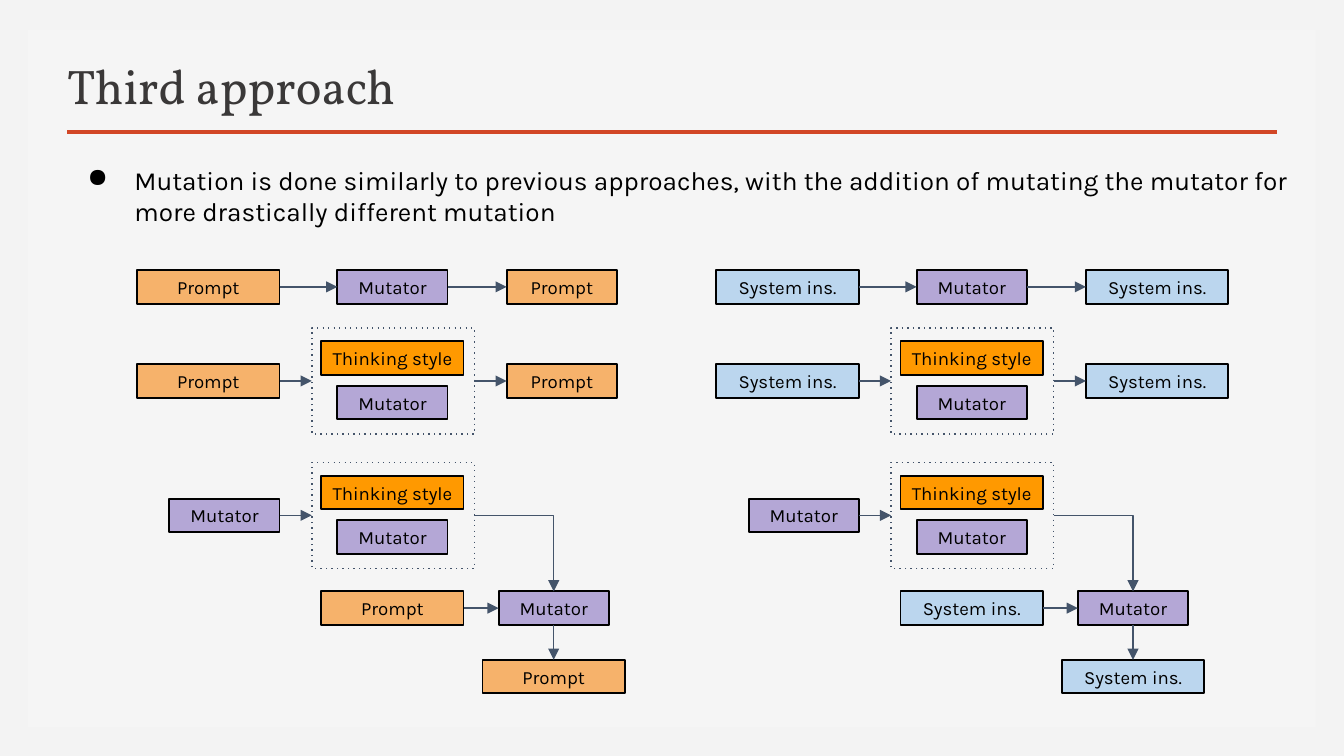
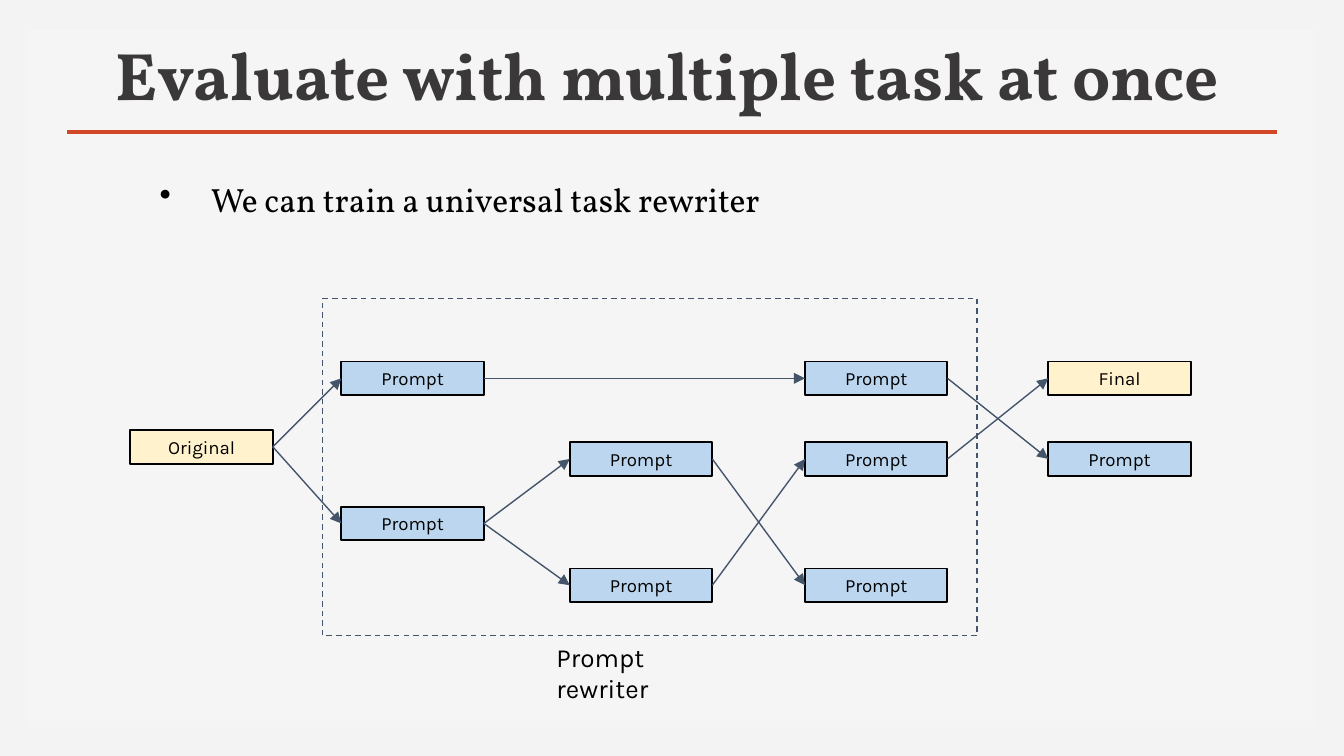
from lxml.etree import SubElement as Sub
from pptx import Presentation as Show
from pptx.dml.color import RGBColor as Rgb
from pptx.enum.shapes import MSO_CONNECTOR as Wire, MSO_SHAPE as Form
from pptx.enum.text import MSO_ANCHOR as Anchor, MSO_AUTO_SIZE as Fit, PP_ALIGN as Align
from pptx.oxml.ns import qn
from pptx.util import Pt

PX = 9144
WIDE = 1000
INK = {
    "back": "F3F3F3", "panel": "F5F5F5", "rule": "D24726", "title": "3A3838",
    "black": "000000", "wire": "44546A", "peach": "F6B26B", "mauve": "B4A7D6",
    "orange": "FF9900", "blue": "BBD6EE", "cream": "FFF2CC",
}
SIDES = {"right": (3, 1), "down": (2, 0), "bend": (3, 0)}


def tint(name):
    return Rgb.from_string(INK[name])


def write(frame, words, size=10, font="Karla", color="black", bold=False,
          align=Align.LEFT, anchor=Anchor.TOP, pad=(7, 4), fit=Fit.NONE,
          mark=None, hang=(0, 0), level=0):
    frame.word_wrap = True
    frame.auto_size = fit
    frame.vertical_anchor = anchor
    frame.margin_left = frame.margin_right = pad[0] * PX
    frame.margin_top = frame.margin_bottom = pad[1] * PX
    para = frame.paragraphs[0]
    para.alignment = align
    para.level = level
    if mark:
        props = para._p.get_or_add_pPr()
        props.set("marL", str(hang[0] * PX))
        props.set("indent", str(hang[1] * PX))
        Sub(Sub(props, qn("a:buClr")), qn("a:srgbClr"), val=INK[color])
        Sub(props, qn("a:buChar"), char=mark)
    run = para.add_run()
    run.text = words
    run.font.size = Pt(size)
    run.font.name = font
    run.font.bold = bold
    run.font.color.rgb = tint(color)


class Deck:
    def __init__(self):
        self.show = Show()
        self.show.slide_width = WIDE * PX
        self.show.slide_height = WIDE * PX * 9 // 16
        fill = self.show.slide_master.background.fill
        fill.solid()
        fill.fore_color.rgb = tint("back")
        self.plan = self.show.slide_layouts[5]
        self.slide = None
        self.dress = False

    def page(self, words, **style):
        self.slide = self.show.slides.add_slide(self.plan)
        if not self.dress:
            self.frame()
        head = self.slide.shapes.title
        head.left, head.top, head.width, head.height = (n * PX for n in (43, 37, 907, 52))
        write(head.text_frame, words, font="Vollkorn", color="title",
              anchor=Anchor.BOTTOM, **style)

    def frame(self):
        for item in list(self.plan.placeholders):
            if item.placeholder_format.idx:
                item.element.getparent().remove(item.element)
        panel = self.rect(21, 22, 958, 519, fill="panel")
        rule = self.line(50, 98, 950, 98, "rule", 2)
        tree = self.plan.shapes.element
        tree.insert(2, panel.element)
        tree.insert(3, rule.element)
        self.dress = True

    def rect(self, x, y, w, h, fill=None, line=None, weight=1, dash=None):
        shape = self.slide.shapes.add_shape(Form.RECTANGLE, x * PX, y * PX, w * PX, h * PX)
        shape.shadow.inherit = False
        if fill:
            shape.fill.solid()
            shape.fill.fore_color.rgb = tint(fill)
        else:
            shape.fill.background()
        if line:
            shape.line.color.rgb = tint(line)
            shape.line.width = Pt(weight)
        else:
            shape.line.fill.background()
        if dash:
            Sub(shape.element.spPr.find(qn("a:ln")), qn("a:prstDash"), val=dash)
        return shape

    def box(self, words, fill, x, y, w=106):
        shape = self.rect(x, y, w, 25, fill, "black")
        write(shape.text_frame, words, align=Align.CENTER, anchor=Anchor.MIDDLE)
        return shape

    def group(self, x, y, w, h, dash):
        return self.rect(x, y, w, h, line="wire", weight=0.75, dash=dash)

    def note(self, words, x, y, w, h, **style):
        area = self.slide.shapes.add_textbox(x * PX, y * PX, w * PX, h * PX)
        write(area.text_frame, words, fit=Fit.SHAPE_TO_FIT_TEXT, **style)

    def line(self, x, y, right, low, color, weight, kind=Wire.STRAIGHT):
        wire = self.slide.shapes.add_connector(kind, x * PX, y * PX, right * PX, low * PX)
        wire.line.color.rgb = tint(color)
        wire.line.width = Pt(weight)
        Sub(wire.element.spPr, qn("a:effectLst"))
        return wire

    def link(self, start, end, way="right"):
        kind = Wire.ELBOW if way == "bend" else Wire.STRAIGHT
        wire = self.line(0, 0, 0, 0, "wire", 0.75, kind)
        out, into = SIDES[way]
        wire.begin_connect(start, out)
        wire.end_connect(end, into)
        props = wire.element.spPr
        if way == "bend":
            props.find(qn("a:prstGeom")).set("prst", "bentConnector2")
        Sub(props.find(qn("a:ln")), qn("a:tailEnd"), type="triangle")

    def chain(self, *items):
        for start, end in zip(items, items[1:]):
            self.link(start, end)


def style_group(deck, x, y):
    deck.box("Thinking style", "orange", x + 239, y + 10)
    deck.box("Mutator", "mauve", x + 251, y + 43, 82)
    return deck.group(x + 232, y, 121, 79, "dot")


def flows(deck, x, words, fill, wide):
    deck.chain(deck.box(words, fill, x + 102, 201),
               deck.box("Mutator", "mauve", x + 251, 201, 82),
               deck.box(words, fill, x + 377, 201, wide))
    deck.chain(deck.box(words, fill, x + 102, 271),
               style_group(deck, x, 244),
               deck.box(words, fill, x + 377, 271, wide))
    group = style_group(deck, x, 344)
    deck.chain(deck.box("Mutator", "mauve", x + 126, 371, 82), group)
    fresh = deck.box("Mutator", "mauve", x + 371, 440, 82)
    deck.link(group, fresh, "bend")
    deck.chain(deck.box(words, fill, x + 239, 440), fresh)
    deck.link(fresh, deck.box(words, fill, x + 359, 491), "down")


def third(deck):
    deck.page("Third approach", size=26)
    deck.note("Mutation is done similarly to previous approaches, with the addition of "
              "mutating the mutator for more drastically different mutation",
              43, 118, 929, 55, size=14, mark="●", hang=(50, -35))
    flows(deck, 0, "Prompt", "peach", 82)
    flows(deck, 431, "System ins.", "blue", 106)


def tasks(deck):
    deck.page("Evaluate with multiple task at once", size=36, bold=True, align=Align.CENTER)
    deck.note("We can train a universal task rewriter", 47, 123, 907, 50, size=18,
              font="Vollkorn", pad=(10, 10), mark="•", hang=(100, -38), level=1)
    first = deck.box("Original", "cream", 97, 320)
    last = deck.box("Final", "cream", 780, 269)
    spots = {"a": (254, 269), "b": (254, 377), "c": (424, 329), "d": (424, 423),
             "e": (599, 269), "f": (599, 329), "g": (599, 423), "h": (780, 329)}
    nodes = {key: deck.box("Prompt", "blue", *spot) for key, spot in spots.items()}
    nodes.update(first=first, last=last)
    for start, end in [("first", "a"), ("first", "b"), ("a", "e"), ("b", "c"), ("b", "d"),
                       ("c", "g"), ("d", "f"), ("e", "h"), ("f", "last")]:
        deck.link(nodes[start], nodes[end])
    deck.group(240, 222, 487, 251, "dash")
    deck.note("Prompt rewriter", 407, 473, 151, 31, size=14)


def main():
    deck = Deck()
    third(deck)
    tasks(deck)
    deck.show.save("out.pptx")


if __name__ == "__main__":
    main()
